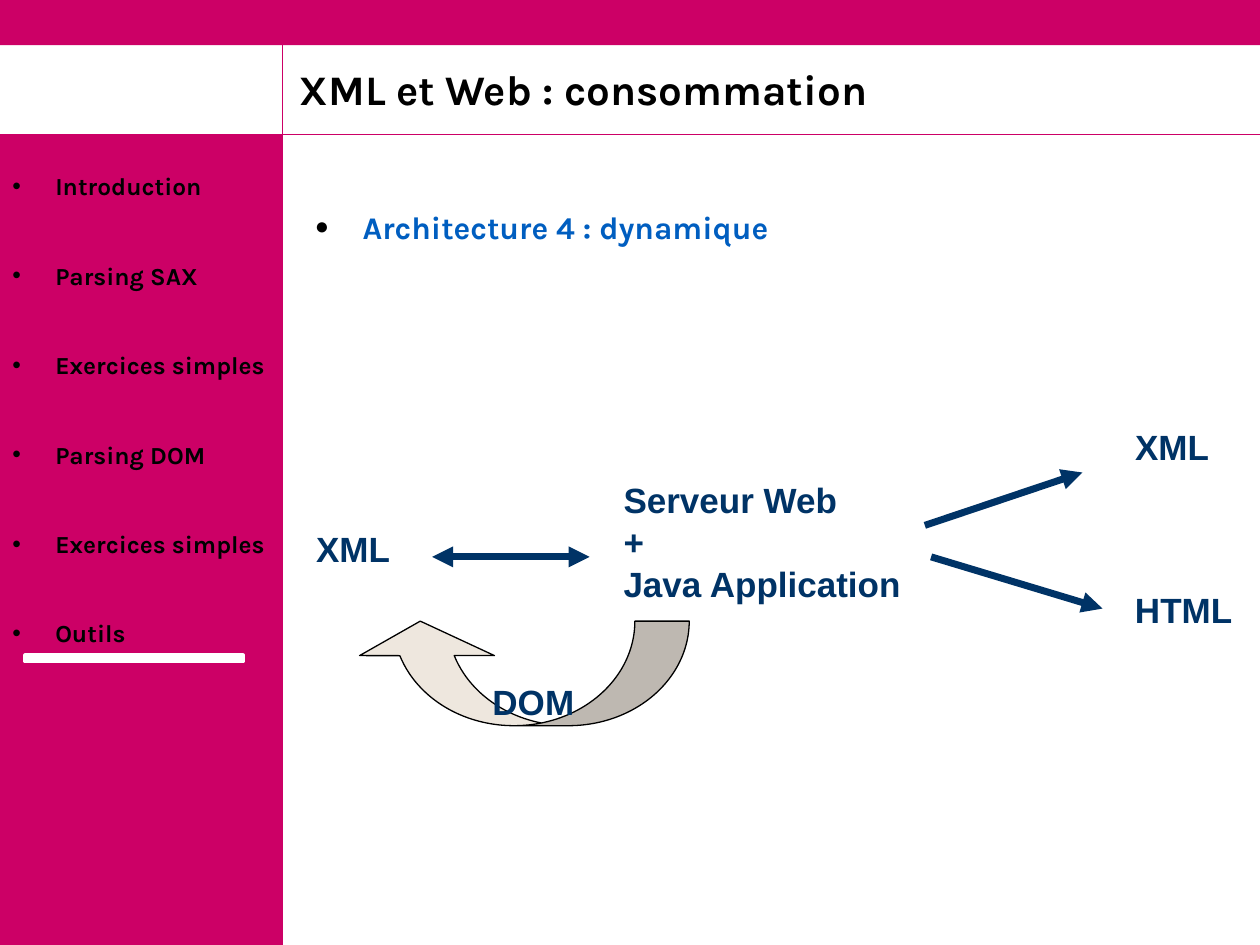
from lxml import etree
from pptx import Presentation
from pptx.dml.color import RGBColor
from pptx.enum import shapes, text
from pptx.oxml import ns
from pptx.util import Inches, Pt

COLORS = {"pink": "CC0066", "black": "000000", "white": "FFFFFF", "blue": "005EC0",
          "navy": "003366", "sand": "EEE7DE"}
TITLE = "XML et Web : consommation"
HEADING = "Architecture 4 : dynamique"
MENU = ["Introduction", "Parsing SAX", "Exercices simples", "Parsing DOM",
        "Exercices simples", "Outils"]
# Diagram labels: lines, (left, top, width, height)
LABELS = [
    (["XML"], (2.41, 4.14, 0.79, 0.44)),
    (["Serveur Web", "+", "Java Application"], (4.85, 3.75, 2.41, 1.1)),
    (["HTML"], (8.91, 4.62, 0.97, 0.44)),
    (["XML"], (8.91, 3.33, 0.79, 0.44)),
    (["DOM"], (3.81, 5.35, 0.85, 0.44)),
]
# Diagram arrows: start, end, ends that carry a head
ARROWS = [
    ((3.43, 4.42), (4.68, 4.42), ["headEnd", "tailEnd"]),
    ((7.39, 4.42), (8.75, 4.83), ["tailEnd"]),
    ((7.34, 4.17), (8.59, 3.75), ["tailEnd"]),
]

deck = Presentation()
deck.slide_width, deck.slide_height = Inches(10), Inches(7.5)
page = deck.slides.add_slide(deck.slide_layouts[6])


def rgb(name):
    return RGBColor.from_string(COLORS[name])


def add_shape(kind, place, fill, line=None, width=0.75):
    shape = page.shapes.add_shape(kind, *map(Inches, place))
    shape.shadow.inherit = False
    shape.fill.solid()
    shape.fill.fore_color.rgb = rgb(fill)
    if line:
        shape.line.color.rgb = rgb(line)
        shape.line.width = Pt(width)
    else:
        shape.line.fill.background()
    return shape


def add_line(start, end, color, width, heads=()):
    line = page.shapes.add_connector(shapes.MSO_CONNECTOR.STRAIGHT,
                                     *map(Inches, start + end))
    line.line.color.rgb = rgb(color)
    line.line.width = Pt(width)
    stroke = line.line._get_or_add_ln()
    for head in heads:
        etree.SubElement(stroke, ns.qn("a:" + head), type="triangle")
    etree.SubElement(line._element.spPr, ns.qn("a:effectLst"))


def add_bullet(para, mark, indent, percent):
    props = para._p.get_or_add_pPr()
    props.set("marL", str(Inches(indent)))
    props.set("indent", str(-Inches(indent)))
    color = etree.SubElement(props, ns.qn("a:buClr"))
    etree.SubElement(color, ns.qn("a:srgbClr"), val=COLORS["black"])
    etree.SubElement(props, ns.qn("a:buSzPct"), val=str(percent * 1000))
    etree.SubElement(props, ns.qn("a:buFont"), typeface="Arial")
    etree.SubElement(props, ns.qn("a:buChar"), char=mark)


def add_text(lines, place, font, size, color, wrap=True, bullet=None, gap=0):
    box = page.shapes.add_textbox(*map(Inches, place))
    frame = box.text_frame
    frame.word_wrap = wrap
    for number, line in enumerate(lines):
        para = frame.paragraphs[0] if number == 0 else frame.add_paragraph()
        if number and gap:
            para.space_before = Pt(gap)
        if bullet:
            add_bullet(para, *bullet)
        span = para.add_run()
        span.text = line
        span.font.name, span.font.size, span.font.bold = font, Pt(size), True
        span.font.color.rgb = rgb(color)
    return frame


# Frame: sidebar, top band and rules
RECT = shapes.MSO_SHAPE.RECTANGLE
add_shape(RECT, (0, 1.07, 2.24, 6.43), "pink")
add_shape(RECT, (0, 0, 10, 0.36), "pink")
add_line((0, 1.07), (10, 1.07), "pink", 0.75)
add_line((2.24, 7.5), (2.24, 0), "pink", 0.75)

# Sidebar menu
add_text(MENU, (0, 1.31, 2.32, 4.04), "Karla", 14, "black",
         bullet=("•", 0.34, 100), gap=34.3)

# Curved return arrow
loop = add_shape(shapes.MSO_SHAPE.CURVED_LEFT_ARROW, (3.72, 4.01, 0.83, 2.67),
                 "sand", "black")
loop.rotation = 90
for number, value in enumerate((0.52, 1.29, 0.33)):
    loop.adjustments[number] = value

# Title and heading
title = add_text([TITLE], (2.28, 0.48, 7.33, 0.48), "Karla", 24, "black")
title.vertical_anchor = text.MSO_ANCHOR.BOTTOM
title.paragraphs[0].line_spacing = 0.9
add_text([HEADING], (2.4, 1.6, 7.4, 0.4), "Karla", 18, "blue",
         bullet=("●", 0.38, 75))

# Diagram
for lines, place in LABELS:
    add_text(lines, place, "Arial", 20, "navy", wrap=False)
for start, end, heads in ARROWS:
    add_line(start, end, "navy", 4, heads)

# Marker under the current menu entry
add_shape(RECT, (0.2, 5.2, 1.73, 0.05), "white", "white", 2)

deck.save("out.pptx")
